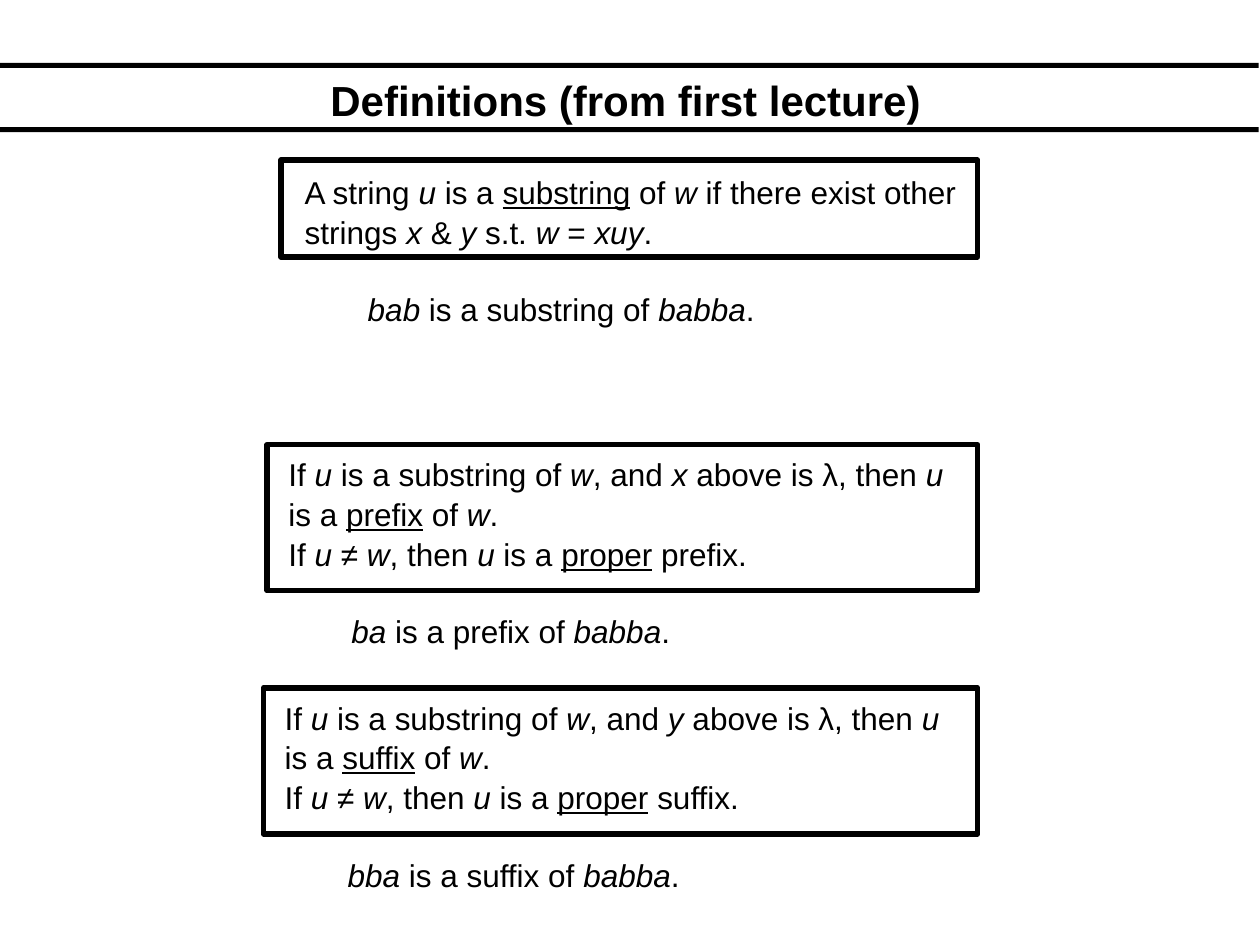
from pptx import Presentation
from pptx import util as u
from pptx.dml.color import RGBColor
from pptx.enum import shapes, text

BLACK = RGBColor(0x00, 0x00, 0x00)
FONT = "Arial"
BODY_SIZE = u.Pt(18)
LINE_SPACING = 1.05
BLANK_LINE = u.Pt(21.7)

# Text marks: *italic* and _underlined_
PREFIX_OR_SUFFIX = (
    "If *u* is a substring of *w*, and *{part}* above is λ, then *u*",
    "is a _{term}_ of *w*.",
    "If *u *≠ *w*, then *u* is a _proper_ {term}.",
)
# Each definition: frame box, text box, lines, example
DEFINITIONS = [
    ((2.23, 1.27, 5.53, 0.77), (2.32, 1.31, 5.38, 1.9),
     ("A string *u* is a _substring_ of *w* if there exist other",
      "strings *x* & *y* s.t. *w* = *xuy*."),
     "*bab* is a substring of *babba*."),
    ((2.12, 3.53, 5.64, 1.16), (2.19, 3.55, 5.41, 1.6),
     [line.format(part="x", term="prefix") for line in PREFIX_OR_SUFFIX],
     "*ba* is a prefix of *babba*."),
    ((2.09, 5.46, 5.67, 1.16), (2.16, 5.48, 5.41, 1.6),
     [line.format(part="y", term="suffix") for line in PREFIX_OR_SUFFIX],
     "*bba* is a suffix of *babba*."),
]


def add_rectangle(slide, box):
    shape = slide.shapes.add_shape(
        shapes.MSO_SHAPE.RECTANGLE, *map(u.Inches, box))
    shape.shadow.inherit = False
    return shape


def add_marked_runs(paragraph, marked_text):
    for i, italic_part in enumerate(marked_text.split("*")):
        for j, part in enumerate(italic_part.split("_")):
            if part:
                run = paragraph.add_run()
                run.text = part
                if i % 2:
                    run.font.italic = True
                if j % 2:
                    run.font.underline = True


def set_font(paragraph, size):
    paragraph.font.name = FONT
    paragraph.font.size = size
    paragraph.font.color.rgb = BLACK


def add_title(slide, box, title):
    left, top, width, height = box
    # Rules above and below the title
    for rule_top in (top - 0.03, top + height - 0.04):
        rule = add_rectangle(slide, (0, rule_top, 9.99, 0.04))
        rule.fill.solid()
        rule.fill.fore_color.rgb = BLACK
        rule.line.fill.background()

    frame = slide.shapes.add_textbox(*map(u.Inches, box)).text_frame
    frame.word_wrap = True
    frame.vertical_anchor = text.MSO_ANCHOR.MIDDLE
    paragraph = frame.paragraphs[0]
    paragraph.text = title
    paragraph.alignment = text.PP_ALIGN.CENTER
    set_font(paragraph, u.Pt(24))
    paragraph.font.bold = True


def add_definition(slide, frame_box, text_box, lines, example):
    # Definition and its indented example
    frame = slide.shapes.add_textbox(*map(u.Inches, text_box)).text_frame
    frame.word_wrap = False
    frame.auto_size = text.MSO_AUTO_SIZE.SHAPE_TO_FIT_TEXT
    for index, line in enumerate([*lines, example]):
        paragraph = frame.add_paragraph() if index else frame.paragraphs[0]
        add_marked_runs(paragraph, line)
        paragraph.line_spacing = LINE_SPACING
        set_font(paragraph, BODY_SIZE)
    paragraph.level = 1
    paragraph.space_before = BLANK_LINE
    properties = paragraph._p.get_or_add_pPr()
    properties.set("marL", str(u.Inches(0.5)))
    properties.set("indent", "0")

    # Frame around the definition
    border = add_rectangle(slide, frame_box)
    border.fill.background()
    border.line.color.rgb = BLACK
    border.line.width = u.Pt(3)


def main():
    presentation = Presentation()
    presentation.slide_width = u.Inches(10)
    presentation.slide_height = u.Inches(7.5)
    slide = presentation.slides.add_slide(presentation.slide_layouts[6])
    add_title(slide, (0.56, 0.53, 8.81, 0.52), "Definitions (from first lecture)")
    for definition in DEFINITIONS:
        add_definition(slide, *definition)
    presentation.save("out.pptx")


if __name__ == "__main__":
    main()
